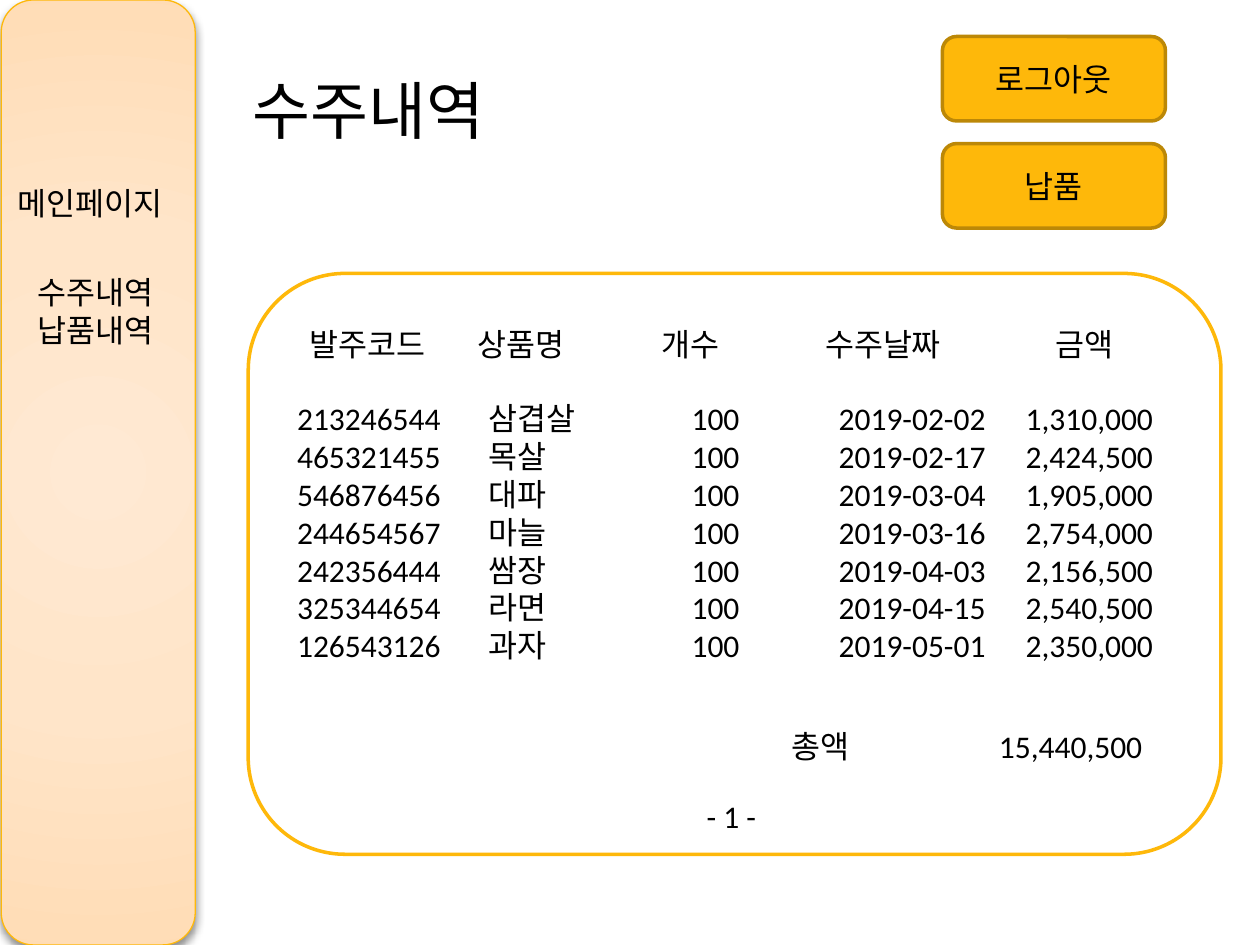
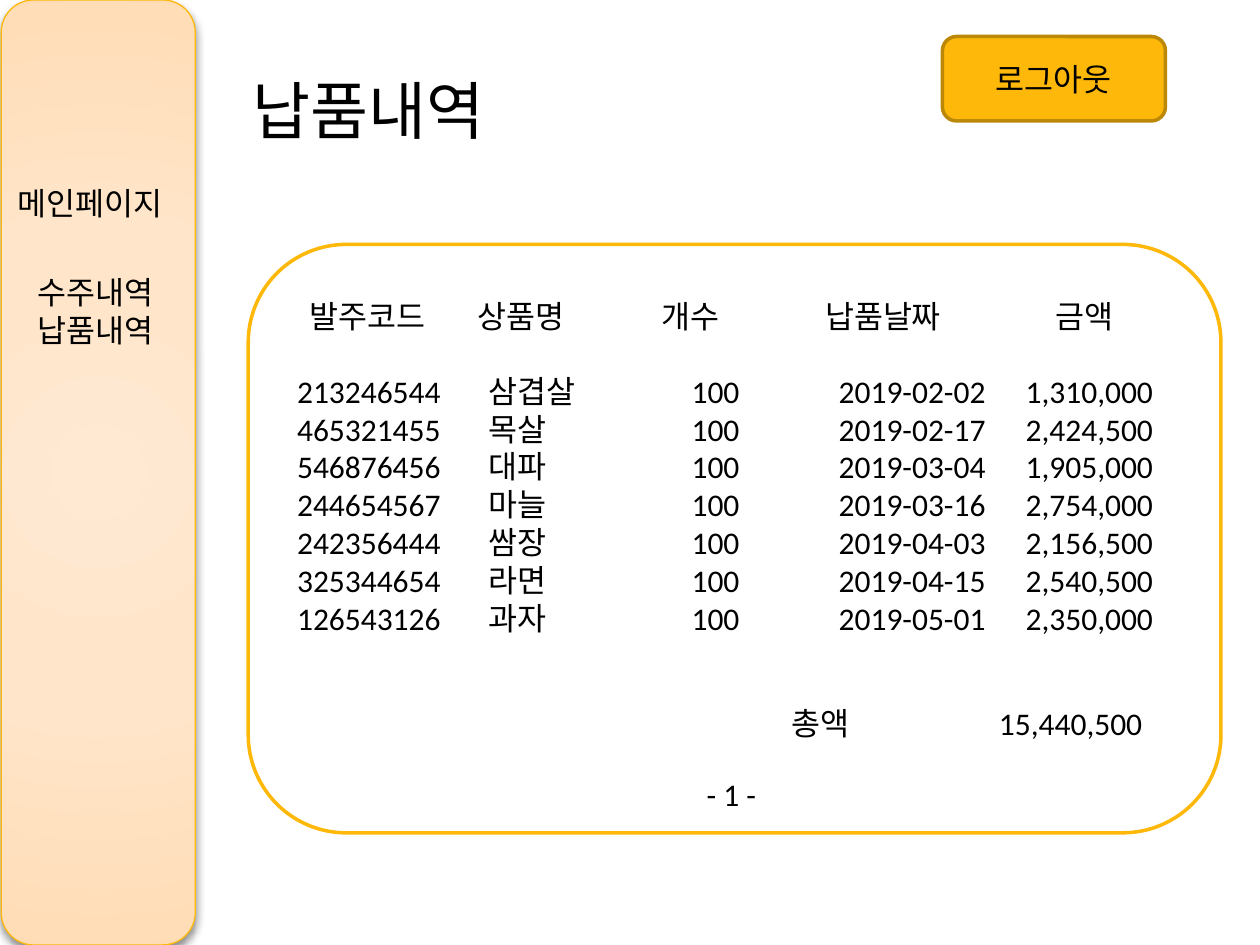
import pptx
import pptx.util
import pptx.dml.color
import pptx.enum.shapes
import pptx.enum.text
import pptx.oxml
import pptx.oxml.ns

Inches = pptx.util.Inches
Pt = pptx.util.Pt
RGBColor = pptx.dml.color.RGBColor
ALIGN = pptx.enum.text.PP_ALIGN
ROUNDED = pptx.enum.shapes.MSO_SHAPE.ROUNDED_RECTANGLE

# Shared style
FONT = "Calibri"
BLACK = RGBColor(0x00, 0x00, 0x00)
AMBER = RGBColor(0xFE, 0xB8, 0x0A)
DARK_AMBER = RGBColor(0xBC, 0x88, 0x07)
SIDEBAR_STOPS = [
    (0, RGBColor(0xFF, 0xE9, 0xD3)),
    (50, RGBColor(0xFF, 0xE5, 0xC9)),
    (97, RGBColor(0xFF, 0xDD, 0xB7)),
    (100, RGBColor(0xFF, 0xDB, 0xB2)),
]
BUTTON_TOP, BUTTON_PITCH = 0.29, 0.85
PANEL_HEIGHT = 4.61

# Order list: code, product, count, date, amount
ORDERS = [
    ("213246544", "삼겹살", "100", "2019-02-02", "1,310,000"),
    ("465321455", "목살", "100", "2019-02-17", "2,424,500"),
    ("546876456", "대파", "100", "2019-03-04", "1,905,000"),
    ("244654567", "마늘", "100", "2019-03-16", "2,754,000"),
    ("242356444", "쌈장", "100", "2019-04-03", "2,156,500"),
    ("325344654", "라면", "100", "2019-04-15", "2,540,500"),
    ("126543126", "과자", "100", "2019-05-01", "2,350,000"),
]
# Left, width and alignment of each column
COLUMNS = [
    (2.26, 1.46, ALIGN.LEFT),
    (3.78, 1.10, ALIGN.LEFT),
    (5.39, 0.75, ALIGN.LEFT),
    (5.94, 2.60, ALIGN.CENTER),
    (7.44, 1.81, ALIGN.RIGHT),
]
HEADER_TABS = [1.33, 2.79, 4.09, 5.92]
TOTAL_TABS = [0.48, 2.13]


def write_lines(frame, lines, size=18, align=ALIGN.LEFT):
    for number, line in enumerate(lines):
        paragraph = frame.paragraphs[0] if number == 0 else frame.add_paragraph()
        paragraph.alignment = align
        run = paragraph.add_run()
        run.text = line
        run.font.name = FONT
        run.font.size = Pt(size)
        run.font.color.rgb = BLACK


def add_text(shapes, left, top, width, height, lines, size=18, align=ALIGN.LEFT):
    box = shapes.add_textbox(Inches(left), Inches(top), Inches(width), Inches(height))
    frame = box.text_frame
    frame.word_wrap = True
    frame.auto_size = pptx.enum.text.MSO_AUTO_SIZE.SHAPE_TO_FIT_TEXT
    write_lines(frame, lines, size, align)
    return box


def set_tabs(box, stops):
    tabs = "".join(f'<a:tab pos="{Inches(stop)}" algn="l"/>' for stop in stops)
    tab_list = pptx.oxml.parse_xml(
        f'<a:tabLst {pptx.oxml.ns.nsdecls("a")}>{tabs}</a:tabLst>')
    box.text_frame.paragraphs[0]._p.get_or_add_pPr().append(tab_list)


def add_rounded(shapes, left, top, width, height, line, line_width, fill=None):
    shape = shapes.add_shape(
        ROUNDED, Inches(left), Inches(top), Inches(width), Inches(height))
    shape.shadow.inherit = False
    shape.line.color.rgb = line
    shape.line.width = Pt(line_width)
    if fill is None:
        shape.fill.background()
    else:
        shape.fill.solid()
        shape.fill.fore_color.rgb = fill
    return shape


def add_button(slide, position, label):
    top = BUTTON_TOP + position * BUTTON_PITCH
    button = add_rounded(slide.shapes, 7.48, top, 1.77, 0.67, DARK_AMBER, 2, AMBER)
    button.text_frame.vertical_anchor = pptx.enum.text.MSO_ANCHOR.MIDDLE
    write_lines(button.text_frame, [label], align=ALIGN.CENTER)


def add_sidebar(slide):
    sidebar = add_rounded(slide.shapes, 0.01, 0, 1.54, 7.5, AMBER, 0.75)
    namespace = pptx.oxml.ns.nsdecls("a")
    properties = sidebar._element.spPr

    # Radial gradient, light in the middle
    stops = "".join(
        f'<a:gs pos="{percent * 1000}"><a:srgbClr val="{color}"/></a:gs>'
        for percent, color in SIDEBAR_STOPS)
    gradient = pptx.oxml.parse_xml(
        f'<a:gradFill {namespace} rotWithShape="1"><a:gsLst>{stops}</a:gsLst>'
        '<a:path path="circle"><a:fillToRect l="50000" t="50000" r="50000" b="50000"/>'
        '</a:path></a:gradFill>')
    properties.replace(properties.find(pptx.oxml.ns.qn("a:noFill")), gradient)

    # Soft shadow below
    shadow = pptx.oxml.parse_xml(
        f'<a:outerShdw {namespace} blurRad="{Pt(5)}" dist="{Pt(2)}" dir="5400000" '
        f'rotWithShape="0"><a:srgbClr val="{BLACK}"><a:alpha val="43000"/></a:srgbClr>'
        '</a:outerShdw>')
    properties.find(pptx.oxml.ns.qn("a:effectLst")).append(shadow)

    # Menu
    add_text(slide.shapes, 0.04, 1.41, 1.47, 0.4, ["메인페이지"])
    add_text(slide.shapes, 0.2, 2.12, 1.32, 0.71, ["수주내역", "납품내역"])


def add_order_panel(slide, top, height, date_heading):
    def at(offset):
        return top + offset * height / PANEL_HEIGHT

    panel = slide.shapes.add_group_shape().shapes
    add_rounded(panel, 1.97, top, 7.72, height, AMBER, 2)
    add_text(panel, 5.51, at(4.11), 0.79, 0.4, ["- 1 -"])

    headings = ["발주코드", "상품명", "개수", date_heading, "금액"]
    header = add_text(panel, 2.36, at(0.36), 6.93, 0.4, ["\t".join(headings)])
    set_tabs(header, HEADER_TABS)

    for (left, width, align), values in zip(COLUMNS, zip(*ORDERS)):
        add_text(panel, left, at(0.95), width, 2.19, values, align=align)

    total = add_text(panel, 5.7, at(3.55), 3.71, 0.4, ["\t총액\t15,440,500"])
    set_tabs(total, TOTAL_TABS)


def add_page(deck, title, buttons, panel_top, panel_height, date_heading):
    slide = deck.slides.add_slide(deck.slide_layouts[6])
    add_order_panel(slide, panel_top, panel_height, date_heading)
    add_text(slide.shapes, 1.91, 0.52, 3.13, 0.71, [title], size=36)
    for position, label in enumerate(buttons):
        add_button(slide, position, label)
    add_sidebar(slide)


def main():
    deck = pptx.Presentation()
    deck.slide_width = Inches(10)
    deck.slide_height = Inches(7.5)
    add_page(deck, "수주내역", ["로그아웃", "납품"], 2.17, PANEL_HEIGHT, "수주날짜")
    add_page(deck, "납품내역", ["로그아웃"], 1.94, 4.67, "납품날짜")
    deck.save("out.pptx")


main()
